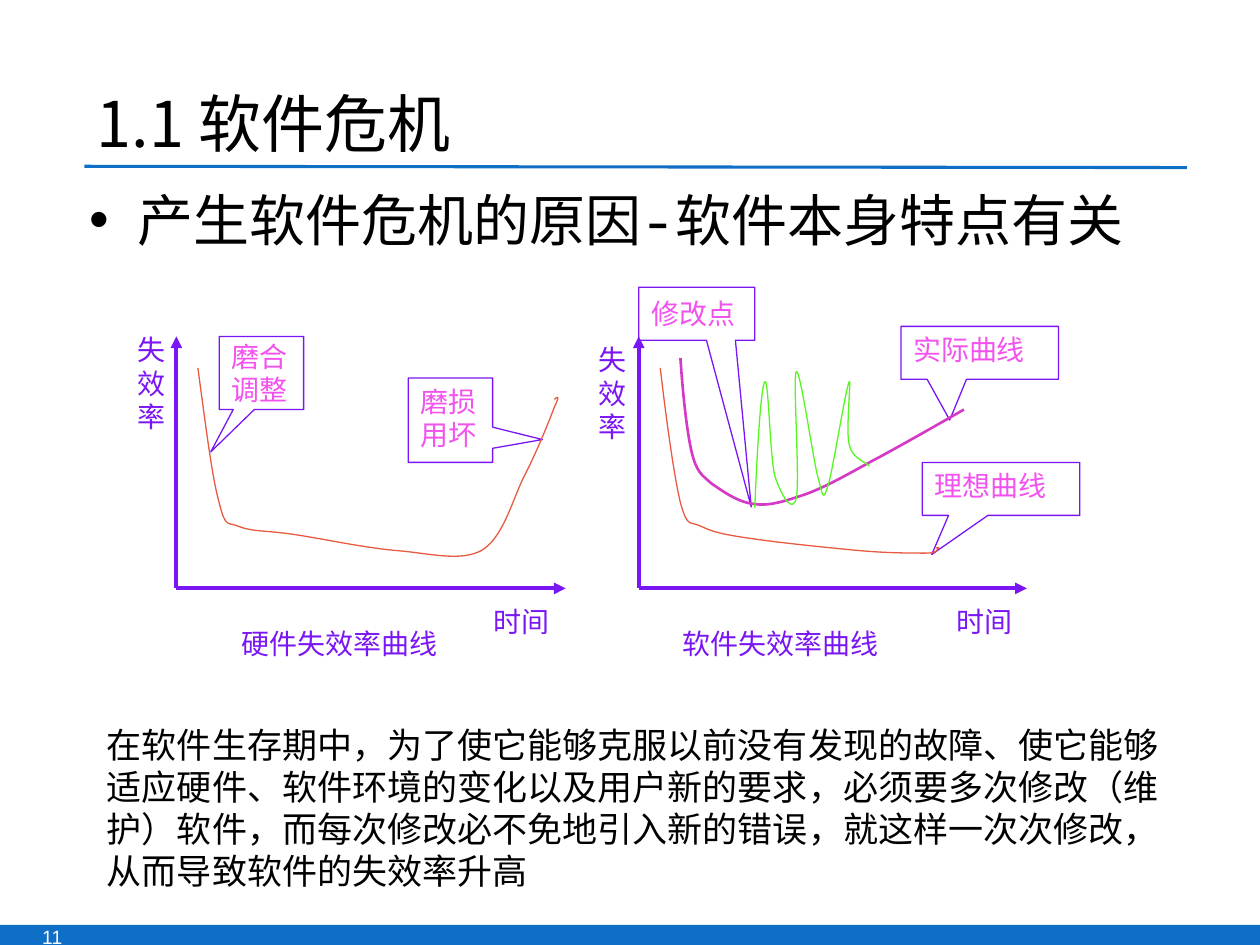
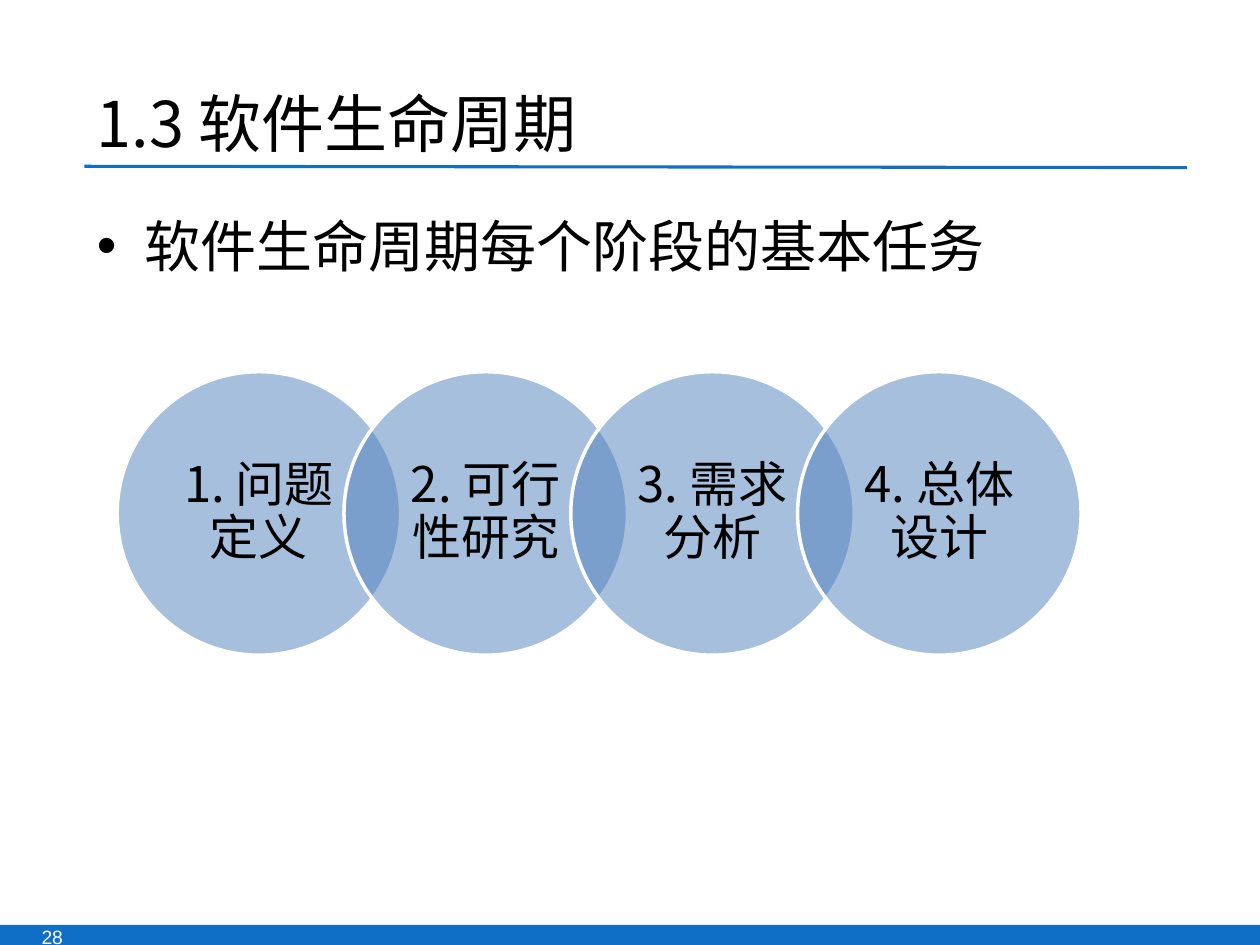
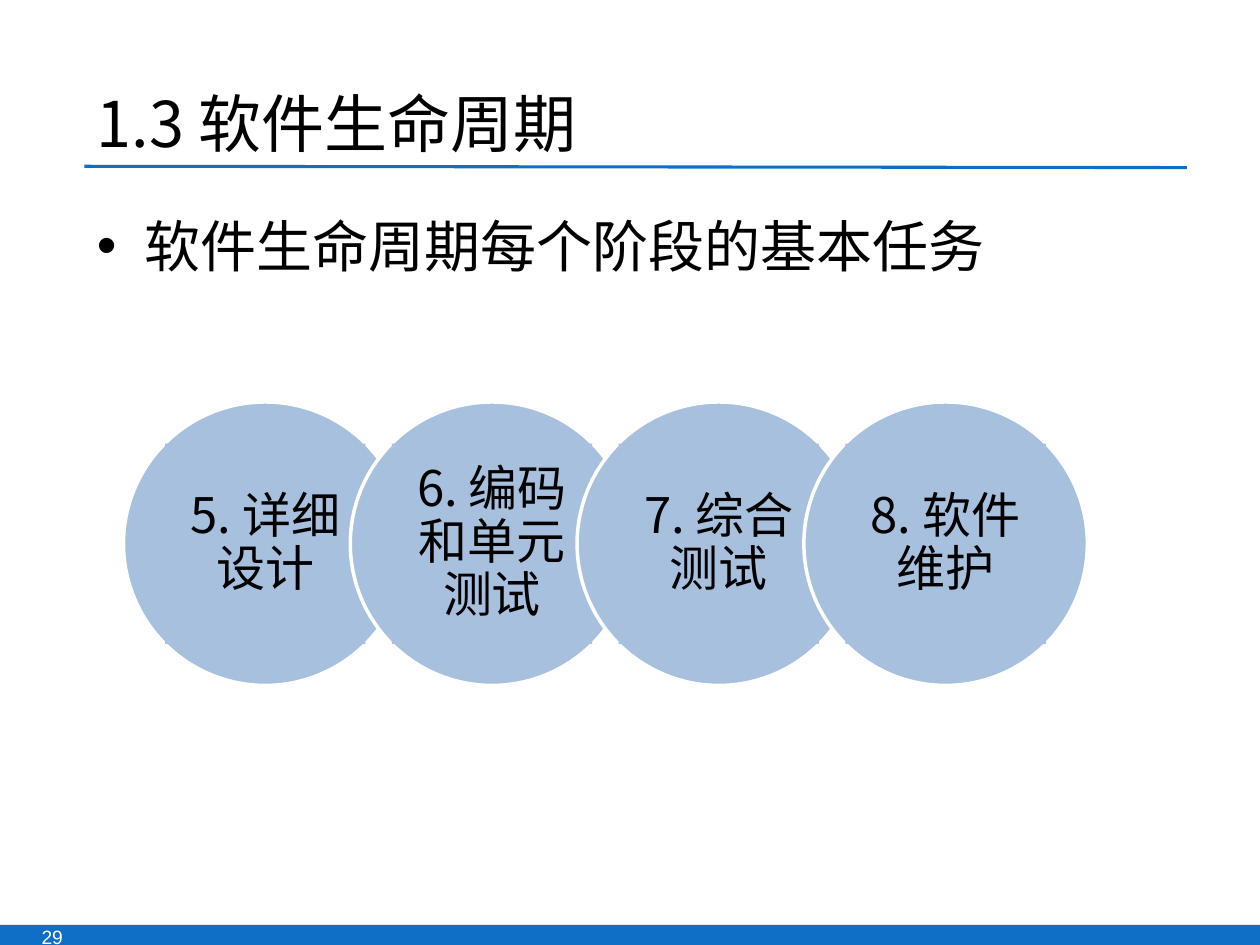
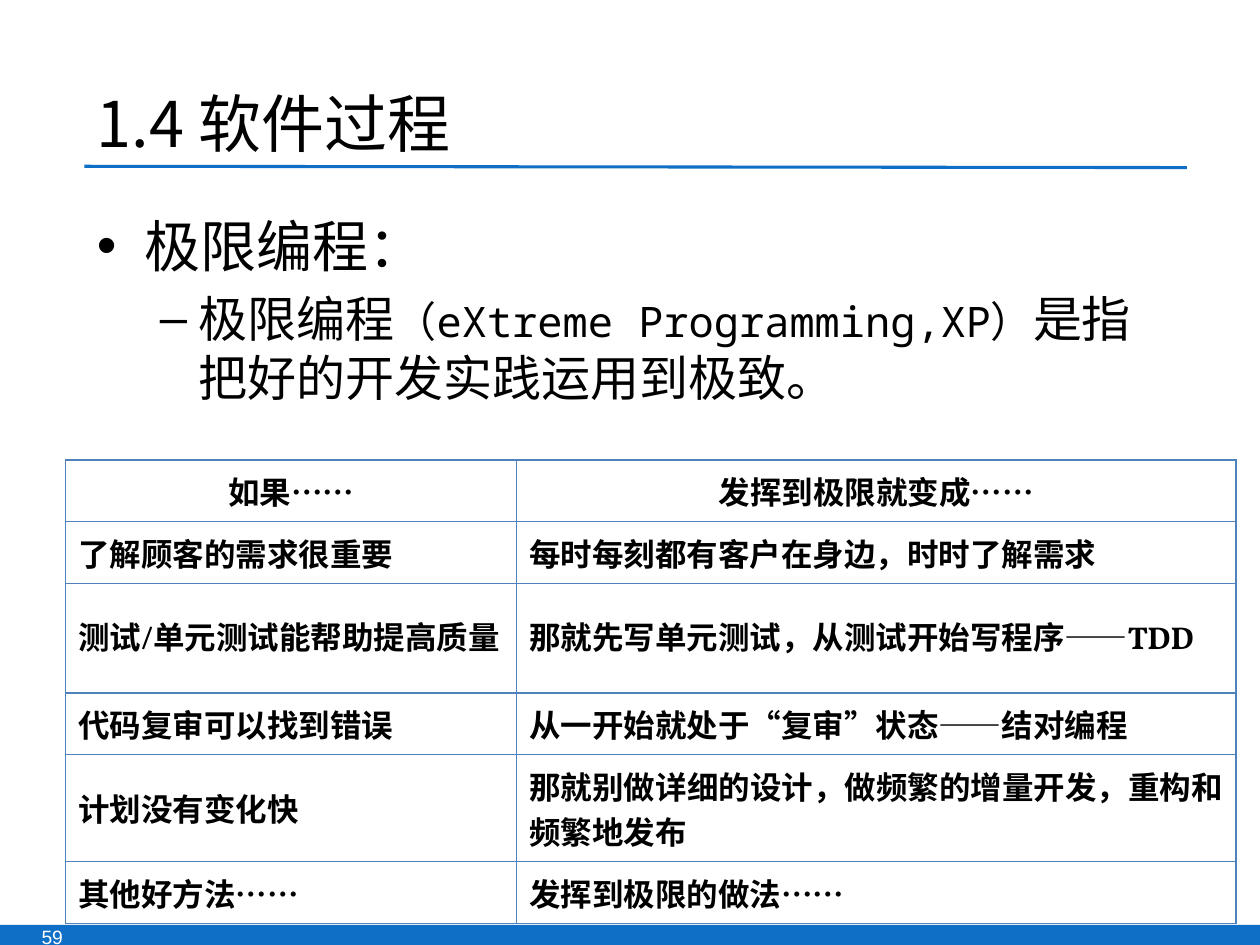
from dataclasses import dataclass

from lxml import etree
from pptx import Presentation
from pptx.dml.color import RGBColor
from pptx.enum.shapes import MSO_CONNECTOR as Connector, MSO_SHAPE as Preset
from pptx.enum.text import MSO_ANCHOR as Anchor, PP_ALIGN as Align
from pptx.oxml.ns import qn
from pptx.util import Inches, Pt

COLORS = {
    "theme": "0F6FC6", "white": "FFFFFF", "black": "000000",
    "axis": "7A16F4", "callout": "F252EE", "ideal": "E85A42",
    "actual": "D539C6", "spikes": "58F620",
    "circle": "4F81BD", "circle_light": "A7C0DE", "border": "4F81BD",
}
CJK = "Noto Sans CJK SC"
MONO = "Noto Sans Mono"
ARIAL = "Arial"
SERIF = "Times New Roman"
TABLE_FONT = "Vollkorn"

Box = tuple[float, float, float, float]
Point = tuple[float, float]


@dataclass(frozen=True)
class TextRun:
    text: str
    size: float
    font: str = CJK
    color: str = "black"
    bold: bool = False


@dataclass(frozen=True)
class Bullet:
    runs: list[TextRun]
    symbol: str = "•"
    margin: float = 0.38
    hanging: float = 0.38
    level: int = 0
    before: float = 0


@dataclass(frozen=True)
class Callout:
    text: str
    box: Box
    tip: Point
    color: str = "callout"
    anchor: Anchor = Anchor.TOP
    bordered: bool = True


@dataclass(frozen=True)
class Curve:
    points: list[Point]  # start, then two controls and an end per segment
    color: str
    width: float = 0.75


@dataclass(frozen=True)
class Axes:
    origin: Point
    tip_y: float
    tip_x: float


@dataclass(frozen=True)
class CircleRow:
    labels: list[str]
    left: float
    top: float
    color: str
    alpha: int = 100
    label_fill: bool = False


# ---------- Shared drawing helpers ----------
def rgb(name: str) -> RGBColor:
    return RGBColor.from_string(COLORS[name])


def inches(values) -> list:
    return [Inches(value) for value in values]


def add_runs(paragraph, runs: list[TextRun]) -> None:
    for item in runs:
        run = paragraph.add_run()
        run.text = item.text
        run.font.size = Pt(item.size)
        run.font.name = item.font
        run.font.bold = item.bold
        run.font.color.rgb = rgb(item.color)
        east_asian = etree.Element(qn("a:ea"), typeface=CJK)
        run.font._element.find(qn("a:latin")).addnext(east_asian)


def fill_frame(frame, run: TextRun, align=Align.LEFT, anchor=Anchor.TOP):
    frame.word_wrap = True
    frame.vertical_anchor = anchor
    paragraph = frame.paragraphs[0]
    paragraph.alignment = align
    add_runs(paragraph, [run])
    return paragraph


def add_text(slide, box: Box, run: TextRun, align=Align.LEFT, anchor=Anchor.TOP) -> None:
    shape = slide.shapes.add_textbox(*inches(box))
    fill_frame(shape.text_frame, run, align, anchor)


def add_bullets(slide, box: Box, bullets: list[Bullet]) -> None:
    frame = slide.shapes.add_textbox(*inches(box)).text_frame
    frame.word_wrap = True
    for index, bullet in enumerate(bullets):
        paragraph = frame.add_paragraph() if index else frame.paragraphs[0]
        properties = paragraph._p.get_or_add_pPr()
        properties.set("marL", str(Inches(bullet.margin)))
        properties.set("indent", str(-Inches(bullet.hanging)))
        etree.SubElement(properties, qn("a:buFont"), typeface=ARIAL)
        etree.SubElement(properties, qn("a:buChar"), char=bullet.symbol)
        paragraph.level = bullet.level
        paragraph.space_before = Pt(bullet.before)
        add_runs(paragraph, bullet.runs)


def style_shape(shape, fill: str | None = None, line: str | None = None, width: float = 0.75) -> None:
    shape.shadow.inherit = False
    if fill:
        shape.fill.solid()
        shape.fill.fore_color.rgb = rgb(fill)
    else:
        shape.fill.background()
    if line:
        shape.line.color.rgb = rgb(line)
        shape.line.width = Pt(width)
    else:
        shape.line.fill.background()


def add_line(slide, start: Point, end: Point, color: str, width: float, arrow: bool = False) -> None:
    line = slide.shapes.add_connector(Connector.STRAIGHT, *inches(start + end))
    line.line.color.rgb = rgb(color)
    line.line.width = Pt(width)
    if arrow:
        etree.SubElement(line.line._get_or_add_ln(), qn("a:headEnd"), type="triangle")
    etree.SubElement(line._element.spPr, qn("a:effectLst"))


def add_base_slide(presentation, title: str, number: int):
    slide = presentation.slides.add_slide(presentation.slide_layouts[6])
    band = slide.shapes.add_shape(Preset.RECTANGLE, *inches((0, 7.34, 10, 0.16)))
    style_shape(band, "theme")
    add_line(slide, (0.67, 1.32), (9.42, 1.33), "theme", 1.75)
    add_text(slide, (0.67, 0.62, 8.75, 0.7), TextRun(title, 36), anchor=Anchor.MIDDLE)
    add_text(slide, (0.08, 7.29, 0.67, 0.19),
             TextRun(str(number), 11, ARIAL, "white"), Align.CENTER)
    return slide


# ---------- Failure-rate diagrams ----------
def add_callout(slide, callout: Callout) -> None:
    shape = slide.shapes.add_shape(Preset.RECTANGULAR_CALLOUT, *inches(callout.box))
    shape.adjustments[0], shape.adjustments[1] = callout.tip
    style_shape(shape, line="axis" if callout.bordered else None)
    fill_frame(shape.text_frame, TextRun(callout.text, 16, SERIF, callout.color),
               anchor=callout.anchor)


def add_curve(slide, curve: Curve) -> None:
    start, *rest = [inches(point) for point in curve.points]
    builder = slide.shapes.build_freeform(*start)
    builder.add_line_segments(rest, close=False)
    shape = builder.convert_to_shape()
    style_shape(shape, line=curve.color, width=curve.width)
    # Join every three straight steps into one cubic segment
    outline = shape._element.find(".//" + qn("a:path"))
    steps = outline.findall(qn("a:lnTo"))
    for first in range(0, len(steps), 3):
        cubic = etree.SubElement(outline, qn("a:cubicBezTo"))
        for step in steps[first:first + 3]:
            cubic.append(step[0])
            outline.remove(step)


def add_axes(slide, axes: Axes) -> None:
    x, y = axes.origin
    for tip in ((x, axes.tip_y), (axes.tip_x, y)):
        add_line(slide, tip, axes.origin, "axis", 2.25, arrow=True)


def plain_label(text: str, box: Box) -> Callout:
    return Callout(text, box, (0, 0), "axis", bordered=False)


CALLOUTS = [
    Callout("磨合调整", (1.74, 2.67, 0.67, 0.58), (-0.6, 1.08), anchor=Anchor.MIDDLE),
    Callout("磨损用坏", (3.24, 3, 0.67, 0.67), (1.09, 0.23)),
    Callout("修改点", (5.07, 2.28, 0.92, 0.42), (0.47, 3.65), anchor=Anchor.MIDDLE),
    Callout("实际曲线", (7.15, 2.59, 1.25, 0.42), (-0.19, 1.27)),
    Callout("理想曲线", (7.32, 3.67, 1.25, 0.42), (-0.44, 1.24)),
]
AXIS_LABELS = [
    plain_label("硬件失效率曲线", (1.82, 4.92, 2, 0.42)),
    plain_label("时间", (3.82, 4.75, 0.75, 0.33)),
    plain_label("失效率", (0.99, 2.59, 0.42, 1)),
    plain_label("时间", (7.49, 4.75, 0.75, 0.33)),
    plain_label("失效率", (4.65, 2.67, 0.42, 1)),
    plain_label("软件失效率曲线", (5.32, 4.92, 2, 0.42)),
]
AXES = [Axes((1.4, 4.67), 2.67, 4.49), Axes((5.07, 4.67), 2.67, 8.15)]

ACTUAL_CURVE = Curve([
    (5.4, 2.84),
    (5.42, 3.13), (5.45, 3.42), (5.49, 3.59),
    (5.53, 3.75), (5.57, 3.77), (5.65, 3.84),
    (5.74, 3.9), (5.86, 3.99), (5.99, 4),
    (6.11, 4.02), (6.25, 3.97), (6.4, 3.92),
    (6.56, 3.86), (6.7, 3.78), (6.9, 3.67),
    (7.11, 3.56), (7.53, 3.32), (7.65, 3.25),
], "actual", 1.5)
CHANGE_SPIKES = Curve([
    (5.99, 4.03),
    (6.01, 3.55), (6.04, 3.07), (6.07, 3.03),
    (6.1, 2.99), (6.11, 3.63), (6.15, 3.78),
    (6.2, 3.93), (6.29, 4.09), (6.32, 3.95),
    (6.35, 3.81), (6.29, 2.97), (6.32, 2.95),
    (6.35, 2.92), (6.45, 3.63), (6.49, 3.78),
    (6.53, 3.93), (6.53, 3.99), (6.57, 3.86),
    (6.61, 3.74), (6.71, 3.09), (6.74, 3.03),
    (6.76, 2.97), (6.71, 3.42), (6.74, 3.53),
    (6.76, 3.64), (6.88, 3.67), (6.9, 3.7),
], "spikes")
HARDWARE_CURVE = Curve([
    (1.57, 2.92),
    (1.63, 3.35), (1.68, 3.78), (1.74, 3.99),
    (1.79, 4.2), (1.81, 4.14), (1.9, 4.18),
    (2, 4.22), (2.11, 4.21), (2.32, 4.24),
    (2.53, 4.27), (2.9, 4.35), (3.15, 4.37),
    (3.4, 4.39), (3.65, 4.46), (3.82, 4.37),
    (3.99, 4.27), (4.06, 3.99), (4.15, 3.8),
    (4.25, 3.61), (4.36, 3.34), (4.4, 3.23),
    (4.45, 3.13), (4.42, 3.15), (4.4, 3.17),
], "ideal")
IDEAL_CURVE = Curve([
    (5.24, 2.92),
    (5.29, 3.35), (5.35, 3.78), (5.4, 3.99),
    (5.46, 4.2), (5.47, 4.13), (5.57, 4.18),
    (5.67, 4.23), (5.79, 4.25), (6, 4.28),
    (6.21, 4.31), (6.6, 4.35), (6.82, 4.37),
    (7.04, 4.39), (7.24, 4.39), (7.35, 4.39),
    (7.45, 4.39), (7.43, 4.36), (7.45, 4.35),
    (7.46, 4.34), (7.43, 4.35), (7.43, 4.35),
], "ideal")
MAINTENANCE_NOTE = (
    "在软件生存期中，为了使它能够克服以前没有发现的故障、使它能够适应硬件、"
    "软件环境的变化以及用户新的要求，必须要多次修改（维护）软件，"
    "而每次修改必不免地引入新的错误，就这样一次次修改，从而导致软件的失效率升高"
)


def build_crisis_slide(presentation) -> None:
    slide = add_base_slide(presentation, "1.1 软件危机", 11)
    for callout in CALLOUTS:
        add_callout(slide, callout)
    for axes in AXES:
        add_axes(slide, axes)
    for curve in (ACTUAL_CURVE, CHANGE_SPIKES, HARDWARE_CURVE, IDEAL_CURVE):
        add_curve(slide, curve)
    for label in AXIS_LABELS:
        add_callout(slide, label)
    add_text(slide, (0.75, 5.69, 8.75, 1.45), TextRun(MAINTENANCE_NOTE, 20, ARIAL))
    add_bullets(slide, (0.61, 1.42, 8.83, 0.64),
                [Bullet([TextRun("产生软件危机的原因-软件本身特点有关", 32, MONO)])])


# ---------- Life-cycle circles ----------
CIRCLE_SIZE = 2.25
CIRCLE_PITCH = 1.8
LABEL_SIZE = 1.59
LABEL_INSET = (CIRCLE_SIZE - LABEL_SIZE) / 2


def add_circles(slide, row: CircleRow) -> None:
    for index, label in enumerate(row.labels):
        left = row.left + index * CIRCLE_PITCH
        circle = slide.shapes.add_shape(
            Preset.OVAL, *inches((left, row.top, CIRCLE_SIZE, CIRCLE_SIZE)))
        style_shape(circle, row.color, "white", 2)
        if row.alpha < 100:
            color = circle._element.spPr.find(qn("a:solidFill"))[0]
            etree.SubElement(color, qn("a:alpha"), val=str(row.alpha * 1000))

        label_box = inches((left + LABEL_INSET, row.top + LABEL_INSET, LABEL_SIZE, LABEL_SIZE))
        if row.label_fill:
            shape = slide.shapes.add_shape(Preset.RECTANGLE, *label_box)
            style_shape(shape, row.color)
        else:
            shape = slide.shapes.add_textbox(*label_box)
        frame = shape.text_frame
        frame.margin_left = frame.margin_right = Inches(0.12)
        frame.margin_top = frame.margin_bottom = Inches(0.04)
        paragraph = fill_frame(frame, TextRun(label, 28), Align.CENTER, Anchor.MIDDLE)
        paragraph.line_spacing = 0.9


def build_cycle_slide(presentation, number: int, row: CircleRow) -> None:
    slide = add_base_slide(presentation, "1.3 软件生命周期", number)
    add_bullets(slide, (0.67, 1.63, 8.75, 0.64),
                [Bullet([TextRun("软件生命周期每个阶段的基本任务", 32, MONO)])])
    add_circles(slide, row)


EARLY_STAGES = CircleRow(
    ["1. 问题定义", "2. 可行性研究", "3. 需求分析", "4. 总体设计"],
    0.93, 2.95, "circle", alpha=50)
LATE_STAGES = CircleRow(
    ["5. 详细设计", "6. 编码和单元测试", "7. 综合测试", "8. 软件维护"],
    0.98, 3.19, "circle_light", label_fill=True)


# ---------- Extreme programming table ----------
PRACTICES = [
    ("如果……", "发挥到极限就变成……"),
    ("了解顾客的需求很重要", "每时每刻都有客户在身边，时时了解需求"),
    ("测试/单元测试能帮助提高质量", "那就先写单元测试，从测试开始写程序——TDD"),
    ("代码复审可以找到错误", "从一开始就处于“复审”状态——结对编程"),
    ("计划没有变化快", "那就别做详细的设计，做频繁的增量开发，重构和频繁地发布"),
    ("其他好方法……", "发挥到极限的做法……"),
]
COLUMN_WIDTHS = (3.58, 5.71)
ROW_HEIGHTS = (0.49, 0.49, 0.87, 0.49, 0.85, 0.49)


def add_borders(cell) -> None:
    properties = cell._tc.get_or_add_tcPr()
    for side in ("a:lnL", "a:lnR", "a:lnT", "a:lnB"):
        line = etree.SubElement(properties, qn(side), w=str(Pt(1)))
        fill = etree.SubElement(line, qn("a:solidFill"))
        etree.SubElement(fill, qn("a:srgbClr"), val=COLORS["border"])


def add_practice_table(slide) -> None:
    box = (0.52, 3.65, sum(COLUMN_WIDTHS), sum(ROW_HEIGHTS))
    table = slide.shapes.add_table(len(PRACTICES), len(COLUMN_WIDTHS), *inches(box)).table
    table.first_row = table.horz_banding = False
    for column, width in zip(table.columns, COLUMN_WIDTHS):
        column.width = Inches(width)
    for row_index, (row, height) in enumerate(zip(table.rows, ROW_HEIGHTS)):
        row.height = Inches(height)
        align = Align.JUSTIFY if row_index else Align.CENTER
        for cell, text in zip(row.cells, PRACTICES[row_index]):
            add_borders(cell)
            cell.fill.background()
            cell.vertical_anchor = Anchor.MIDDLE
            paragraph = cell.text_frame.paragraphs[0]
            paragraph.alignment = align
            add_runs(paragraph, [TextRun(text, 18, TABLE_FONT, bold=True)])


def build_process_slide(presentation) -> None:
    slide = add_base_slide(presentation, "1.4 软件过程", 59)
    definition = [
        TextRun("极限编程", 28, MONO),
        TextRun("（eXtreme Programming,XP）", 24, MONO),
        TextRun("是指把好的开发实践运用到极致。", 28, MONO),
    ]
    add_bullets(slide, (0.67, 1.63, 8.75, 1.67), [
        Bullet([TextRun("极限编程：", 32, MONO)]),
        Bullet(definition, "–", margin=0.81, hanging=0.31, level=1, before=5.6),
    ])
    add_practice_table(slide)


def main() -> None:
    presentation = Presentation()
    presentation.slide_width = Inches(10)
    presentation.slide_height = Inches(7.5)
    build_crisis_slide(presentation)
    build_cycle_slide(presentation, 28, EARLY_STAGES)
    build_cycle_slide(presentation, 29, LATE_STAGES)
    build_process_slide(presentation)
    presentation.save("out.pptx")


if __name__ == "__main__":
    main()
